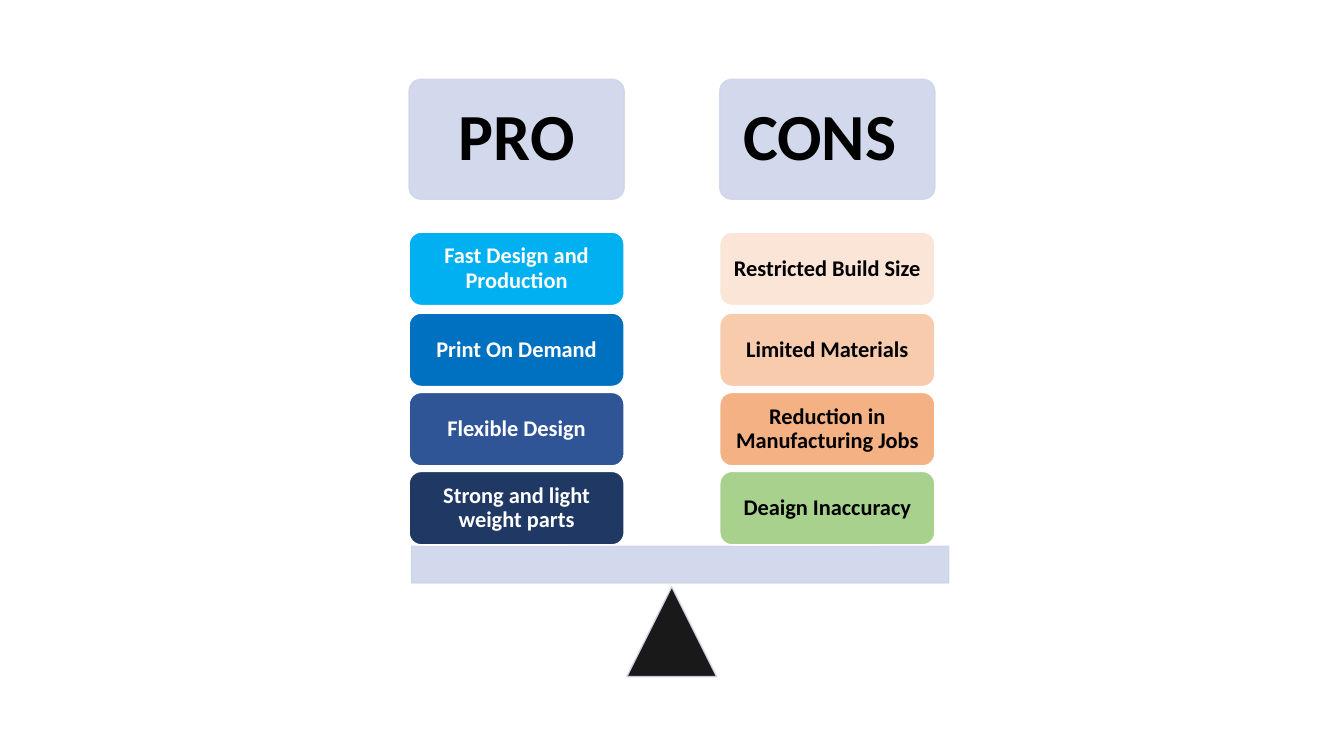
"""Build a slide that sets PRO and CONS cards on a balance."""
from lxml.etree import SubElement
from pptx import Presentation
from pptx.dml.color import RGBColor
from pptx.enum.shapes import MSO_SHAPE
from pptx.enum.text import MSO_ANCHOR, PP_ALIGN
from pptx.oxml.ns import qn
from pptx.util import Cm, Pt

PALE = "CFD5EA"
BLACK = "000000"
WHITE = "FFFFFF"
CARD_WIDTH = 5.42
CARD_HEIGHT = 1.85
CARD_TOPS = [5.85, 7.89, 9.89, 11.88]


def add_block(kind, left, top, width, height, fill, line, opacity=100):
    shape = slide.shapes.add_shape(kind, Cm(left), Cm(top), Cm(width), Cm(height))
    shape.shadow.inherit = False
    shape.fill.solid()
    shape.fill.fore_color.rgb = RGBColor.from_string(fill)
    shape.line.color.rgb = RGBColor.from_string(line)
    shape.line.width = Pt(1)
    if opacity < 100:
        for color in shape._element.spPr.iter(qn("a:srgbClr")):
            SubElement(color, qn("a:alpha"), val=str(opacity * 1000))
    return shape


def write_label(shape, text, size, color, inset):
    frame = shape.text_frame
    frame.word_wrap = True
    frame.vertical_anchor = MSO_ANCHOR.MIDDLE
    frame.margin_left = frame.margin_right = Cm(inset)
    frame.margin_top = frame.margin_bottom = Cm(inset)
    frame.text = text
    paragraph = frame.paragraphs[0]
    paragraph.alignment = PP_ALIGN.CENTER
    paragraph.line_spacing = 0.9
    font = paragraph.runs[0].font
    font.name = "Calibri"
    font.size = Pt(size)
    font.bold = True
    font.color.rgb = RGBColor.from_string(color)


presentation = Presentation()
presentation.slide_width = Cm(33.87)
presentation.slide_height = Cm(19.05)
slide = presentation.slides.add_slide(presentation.slide_layouts[6])

add_block(MSO_SHAPE.ISOSCELES_TRIANGLE, 15.8, 14.79, 2.26, 2.26, BLACK, PALE, 90)
add_block(MSO_SHAPE.RECTANGLE, 10.37, 13.77, 13.54, 0.92, PALE, PALE, 90)

columns = [
    ("PRO", 10.31, WHITE, [
        ("Fast Design and Production", "00B0F0"),
        ("Print On Demand", "0070C0"),
        ("Flexible Design", "2F5597"),
        ("Strong and light weight parts", "203864"),
    ]),
    ("CONS ", 18.14, BLACK, [
        ("Restricted Build Size", "FBE5D6"),
        ("Limited Materials", "F8CBAD"),
        ("Reduction in Manufacturing Jobs", "F4B183"),
        ("Deaign Inaccuracy", "A9D18E"),
    ]),
]

for heading, left, text_color, cards in columns:
    header = add_block(MSO_SHAPE.ROUNDED_RECTANGLE, left, 2, CARD_WIDTH, 3.02, PALE, PALE, 90)
    header.adjustments[0] = 0.1
    write_label(header, heading, 47, BLACK, 0.5)
    for top, (text, fill) in zip(CARD_TOPS, cards):
        card = add_block(MSO_SHAPE.ROUNDED_RECTANGLE, left, top, CARD_WIDTH, CARD_HEIGHT, fill, WHITE)
        write_label(card, text, 16, text_color, 0.26)

presentation.save("out.pptx")
